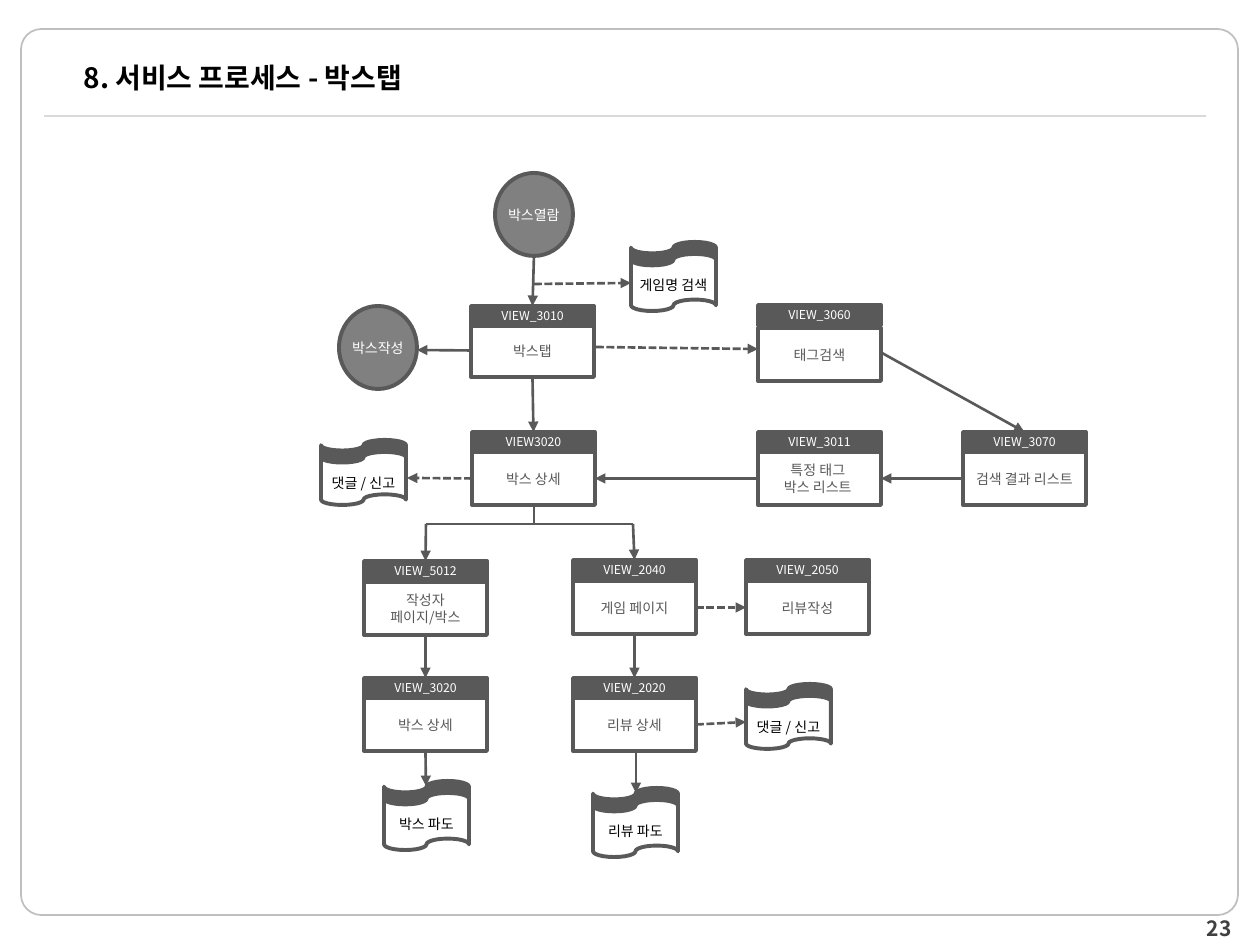
"""Builds the box-tab service process slide."""
from lxml.etree import SubElement
from pptx import Presentation
from pptx.dml.color import RGBColor
from pptx.enum.dml import MSO_LINE
from pptx.enum.shapes import MSO_CONNECTOR as LINK, MSO_SHAPE as SHAPE
from pptx.enum.text import MSO_ANCHOR, MSO_AUTO_SIZE, PP_ALIGN
from pptx.oxml.ns import qn
from pptx.util import Pt

SCALE = 914400 / 126
FONT = "Noto Sans CJK KR"
BLACK = RGBColor(0x00, 0x00, 0x00)
WHITE = RGBColor(0xFF, 0xFF, 0xFF)
DARK = RGBColor(0x59, 0x59, 0x59)
GRAY = RGBColor(0x80, 0x80, 0x80)
PAGE_GRAY = RGBColor(0x40, 0x40, 0x40)
FRAME_GRAY = RGBColor(0xBF, 0xBF, 0xBF)
RULE_GRAY = RGBColor(0xD9, 0xD9, 0xD9)
TOP, LEFT, BOTTOM, RIGHT = range(4)
CARD_WIDTH, HEADER_HEIGHT, BODY_HEIGHT = 123, 20, 53

CARDS = {
    "box_tab": (471, 306, 324, "VIEW_3010", "박스탭"),
    "box_detail": (472, 432, 452, "VIEW3020", "박스 상세"),
    "author": (364, 561, 582, "VIEW_5012", "작성자 페이지/박스"),
    "game": (573, 560, 581, "VIEW_2040", "게임 페이지"),
    "author_box": (364, 678, 698, "VIEW_3020", "박스 상세"),
    "review": (573, 678, 698, "VIEW_2020", "리뷰 상세"),
    "write_review": (746, 560, 581, "VIEW_2050", "리뷰작성"),
    "tag_search": (758, 305, 328, "VIEW_3060", "태그검색"),
    "results": (963, 432, 452, "VIEW_3070", "검색 결과 리스트"),
    "tag_boxes": (758, 432, 452, "VIEW_3011", "특정 태그 \v박스 리스트 "),
}
TAPES = [
    (593, 788, 57, "리뷰 파도"),
    (384, 781, 57, "박스 파도"),
    (746, 684, 53, "댓글 / 신고"),
    (321, 440, 53, "댓글 / 신고"),
    (631, 242, 57, "게임명 검색"),
]


def px(length):
    """Turn pixels into EMU."""
    return round(length * SCALE)


def format_text(frame, size, color, align=PP_ALIGN.CENTER, bold=False):
    """Style every run of a text frame."""
    for paragraph in frame.paragraphs:
        paragraph.alignment = align
        for run in paragraph.runs:
            run.font.name = FONT
            SubElement(run.font._element, qn("a:ea"), typeface=FONT)
            run.font.size = Pt(size)
            run.font.bold = bold
            run.font.color.rgb = color


def add_block(shapes, kind, box, fill, line_width=2.25, line=DARK):
    """Add a preset shape with a plain fill and outline."""
    block = shapes.add_shape(kind, *map(px, box))
    block.shadow.inherit = False
    if fill is None:
        block.fill.background()
    else:
        block.fill.solid()
        block.fill.fore_color.rgb = fill
    block.line.color.rgb = line
    block.line.width = Pt(line_width)
    return block


def write_inside(block, text, size, color, wrap=True):
    """Centre a caption inside a shape."""
    frame = block.text_frame
    frame.text = text
    frame.word_wrap = wrap
    frame.vertical_anchor = MSO_ANCHOR.MIDDLE
    frame.margin_left = frame.margin_right = px(11)
    frame.margin_top = frame.margin_bottom = px(5)
    format_text(frame, size, color)


def add_card(shapes, left, header_top, body_top, code, name):
    """Add a screen card and return its header and body."""
    body = add_block(shapes, SHAPE.RECTANGLE, (left, body_top, CARD_WIDTH, BODY_HEIGHT), WHITE)
    write_inside(body, name, 8, DARK)
    header = add_block(shapes, SHAPE.RECTANGLE, (left, header_top, CARD_WIDTH, HEADER_HEIGHT), DARK, 2)
    write_inside(header, code, 7, WHITE)
    return header, body


def add_start(shapes, left, top, text):
    """Add a round entry point."""
    circle = add_block(shapes, SHAPE.OVAL, (left, top, 78, 83), GRAY)
    write_inside(circle, text, 8, WHITE, wrap=False)


def add_tape(shapes, left, top, height, text):
    """Add a grouped two-layer tape with a label."""
    tape = shapes.add_group_shape().shapes
    for drop, fill in ((0, DARK), (12, WHITE)):
        add_block(tape, SHAPE.FLOWCHART_PUNCHED_TAPE, (left, top + drop, 85, height), fill)
    label = tape.add_textbox(px(left - 6), px(top + 28), px(97), px(30))
    frame = label.text_frame
    frame.text = text
    frame.word_wrap = False
    frame.auto_size = MSO_AUTO_SIZE.SHAPE_TO_FIT_TEXT
    format_text(frame, 8, BLACK)


def style_line(connector, color=DARK, dashed=False, arrow=False):
    """Style a connector without a shadow."""
    connector.line.color.rgb = color
    connector.line.width = Pt(1.5)
    if dashed:
        connector.line.dash_style = MSO_LINE.SQUARE_DOT
    if arrow:
        SubElement(connector.line._get_or_add_ln(), qn("a:tailEnd"), type="triangle")
    SubElement(connector._element.spPr, qn("a:effectLst"))


def add_arrow(shapes, start, end, dashed=False):
    """Add an arrow between points or (shape, side) pairs."""
    arrow = shapes.add_connector(LINK.STRAIGHT, 0, 0, 0, 0)
    arrow.begin_x, arrow.begin_y = (px(v) if isinstance(v, int) else 0 for v in start)
    arrow.end_x, arrow.end_y = (px(v) if isinstance(v, int) else 0 for v in end)
    if not isinstance(start[0], int):
        arrow.begin_connect(*start)
    if not isinstance(end[0], int):
        arrow.end_connect(*end)
    style_line(arrow, dashed=dashed, arrow=True)


def add_branch(shapes, x, y, target_x, target_y):
    """Add a one-corner connector going down, then sideways."""
    half_drop, half_span = (target_y - y) / 2, abs(target_x - x) / 2
    middle_x, middle_y = (x + target_x) / 2, (y + target_y) / 2
    side = 1 if target_x < x else -1
    branch = shapes.add_connector(
        LINK.ELBOW,
        px(middle_x - side * half_drop), px(middle_y - half_span),
        px(middle_x + side * half_drop), px(middle_y + half_span))
    properties = branch._element.spPr
    properties.find(qn("a:prstGeom")).set("prst", "bentConnector2")
    properties.find(qn("a:xfrm")).set("rot", str(5400000 if side == 1 else 16200000))
    style_line(branch)


def add_page(slide):
    """Add the frame, rule, title and page number."""
    frame = add_block(slide.shapes, SHAPE.ROUNDED_RECTANGLE, (21, 29, 1217, 886), None, 1, FRAME_GRAY)
    frame.adjustments[0] = 0.023
    rule = slide.shapes.add_connector(LINK.STRAIGHT, px(44), px(116), px(1206), px(116))
    style_line(rule, RULE_GRAY)
    title = slide.shapes.title
    title.left, title.top, title.width, title.height = map(px, (71, 23, 1118, 108))
    title.text_frame.text = "8. 서비스 프로세스 - 박스탭"
    title.text_frame.vertical_anchor = MSO_ANCHOR.MIDDLE
    title.text_frame.auto_size = MSO_AUTO_SIZE.NONE
    format_text(title.text_frame, 16, BLACK, PP_ALIGN.LEFT, True)
    number = slide.shapes.add_textbox(*map(px, (950, 918, 294, 20))).text_frame
    number.text = "23"
    number.word_wrap = True
    number.vertical_anchor = MSO_ANCHOR.MIDDLE
    format_text(number, 12, PAGE_GRAY, PP_ALIGN.RIGHT, True)


def add_flow(shapes, header, body):
    """Add every link between the steps."""
    for upper, lower in (("box_tab", "box_detail"), ("author", "author_box"), ("game", "review")):
        add_arrow(shapes, (body[upper], BOTTOM), (header[lower], TOP))
    for source, target in (("results", "tag_boxes"), ("tag_boxes", "box_detail")):
        add_arrow(shapes, (body[source], LEFT), (body[target], RIGHT))
    for name, x in (("author", 426), ("game", 633)):
        add_branch(shapes, 534, 505, x, 524)
        add_arrow(shapes, (x, 524), (header[name], TOP))
    add_arrow(shapes, (534, 256), (header["box_tab"], TOP))
    add_arrow(shapes, (body["box_tab"], LEFT), (417, 350))
    add_arrow(shapes, (882, 353), (header["results"], TOP))
    add_arrow(shapes, (body["author_box"], BOTTOM), (426, 786))
    add_arrow(shapes, (636, 753), (636, 793))
    add_arrow(shapes, (body["game"], RIGHT), (body["write_review"], LEFT), True)
    add_arrow(shapes, (body["review"], RIGHT), (746, 722), True)
    add_arrow(shapes, (body["box_detail"], LEFT), (407, 478), True)
    add_arrow(shapes, (534, 284), (631, 283), True)
    add_arrow(shapes, (596, 347), (758, 349), True)


def main():
    """Build and save the slide."""
    deck = Presentation()
    deck.slide_width, deck.slide_height = px(1260), px(945)
    slide = deck.slides.add_slide(deck.slide_layouts[5])
    shapes = slide.shapes
    add_page(slide)
    add_start(shapes, 495, 173, "박스열람")
    add_start(shapes, 339, 306, "박스작성")
    header, body = {}, {}
    for name, card in CARDS.items():
        header[name], body[name] = add_card(shapes, *card)
    for tape in TAPES:
        add_tape(shapes, *tape)
    add_flow(shapes, header, body)
    deck.save("out.pptx")


if __name__ == "__main__":
    main()
